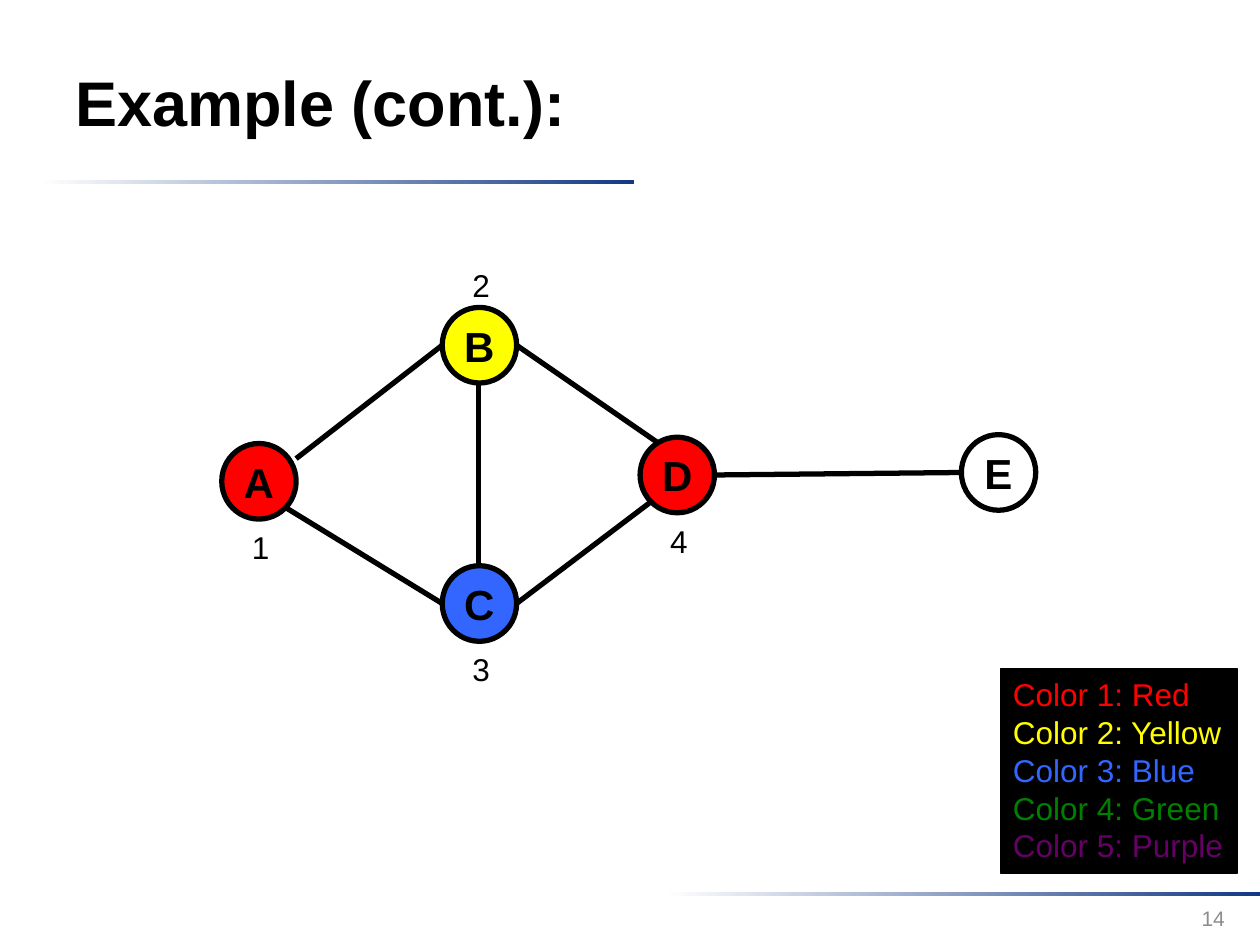
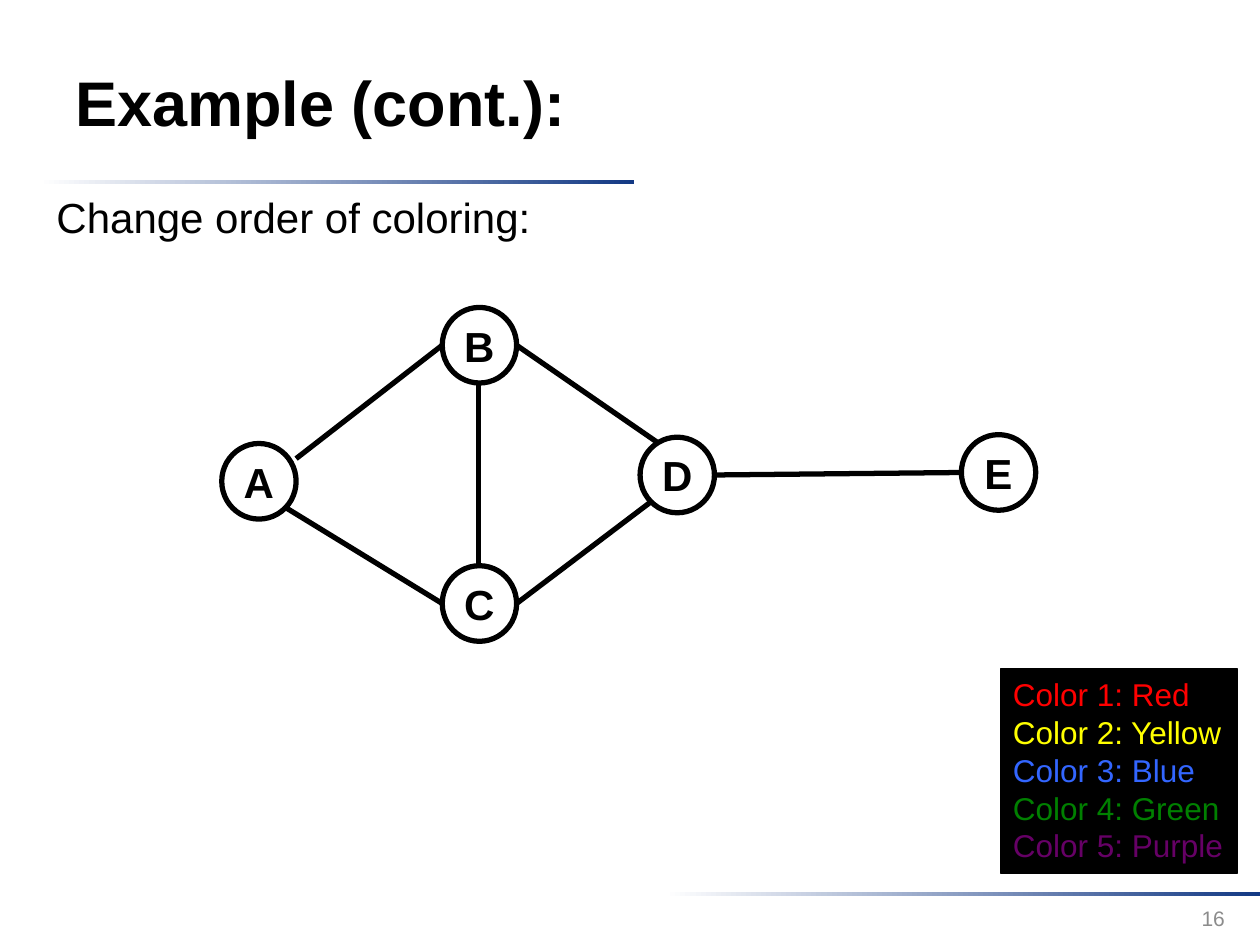
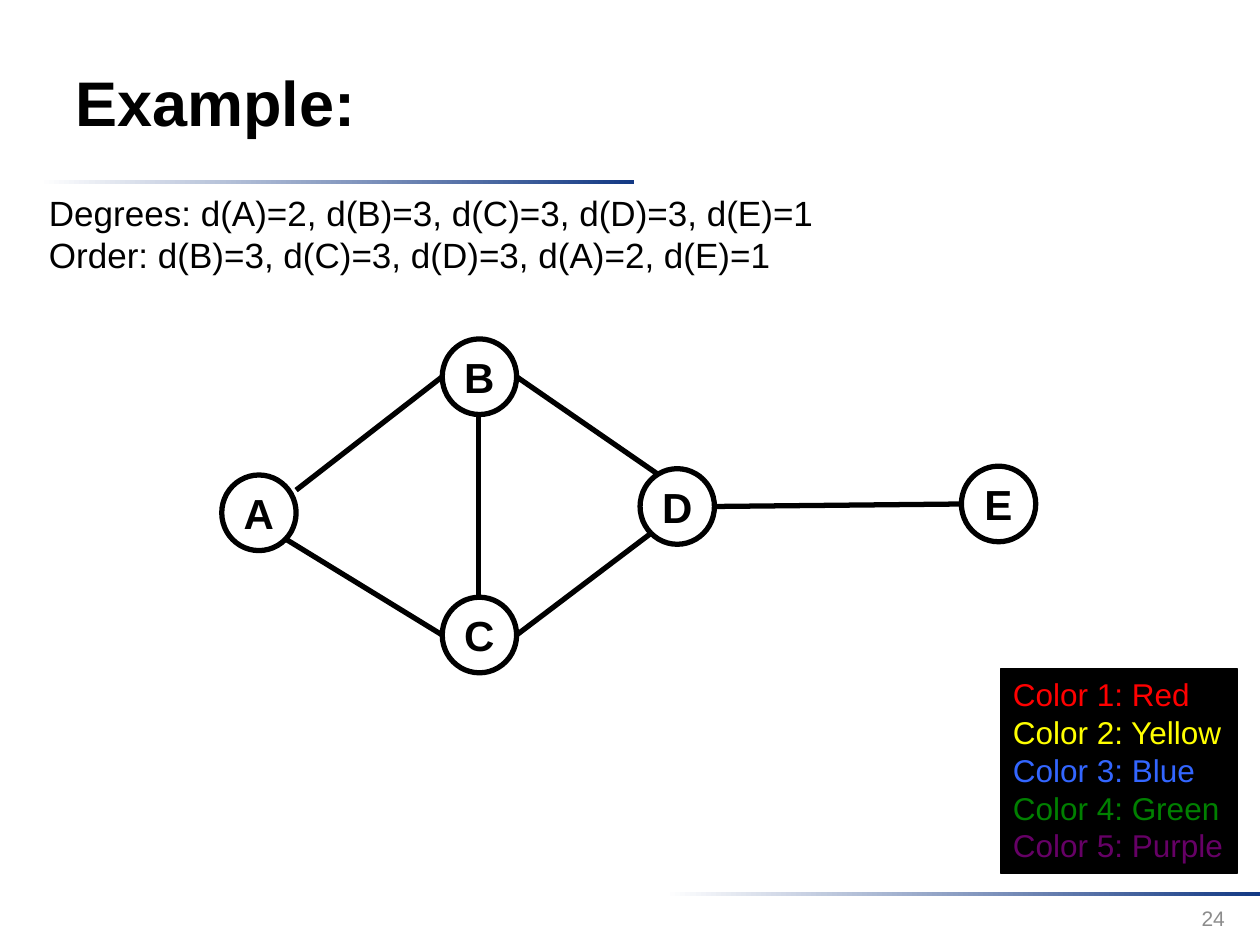
"""Build three slides on greedy graph colouring."""
from lxml.etree import SubElement
from pptx import Presentation
from pptx.dml.color import RGBColor
from pptx.enum.shapes import MSO_CONNECTOR, MSO_SHAPE
from pptx.enum.text import MSO_ANCHOR as ANCHOR, PP_ALIGN as ALIGN
from pptx.oxml.ns import qn
from pptx.util import Inches, Pt

FONT = "Arial"
COLORS = {
    "black": "000000", "white": "FFFFFF", "navy": "133984", "gray": "8C8C8C",
    "red": "FF0000", "yellow": "FFFF00", "blue": "3366FF",
    "green": "008000", "purple": "660066",
}
LEGEND = ["red", "yellow", "blue", "green", "purple"]
RULES = [(0.31, 1.43), (5.28, 7.08)]

NODE_W, NODE_H = 0.59, 0.6
NODES = {"A": (1.76, 3.52), "B": (3.51, 2.44), "C": (3.51, 4.49),
         "D": (5.08, 3.47), "E": (7.63, 3.45)}
PORTS = {"top": (0.29, 0), "left": (0, 0.3), "bottom": (0.29, 0.6),
         "right": (0.59, 0.3), "upper right": (0.59, 0.12),
         "lower right": (0.51, 0.51), "upper left": (0.15, 0.05),
         "lower left": (0.09, 0.51)}
EDGES = [
    ("A", "upper right", "B", "left"),
    ("A", "lower right", "C", "left"),
    ("B", "right", "D", "upper left"),
    ("C", "right", "D", "lower left"),
    ("D", "right", "E", "left"),
    ("B", "bottom", "C", "top"),
]
STEP_OFFSETS = {"above": -0.38, "below": 0.62}

SLIDES = [
    {"title": "Example (cont.):", "number": "14",
     "fills": {"A": "red", "B": "yellow", "C": "blue", "D": "red"},
     "steps": [("A", "below"), ("B", "above"), ("C", "below"), ("D", "below")]},
    {"title": "Example (cont.):", "number": "16",
     "note": {"lines": ["Change order of coloring:"], "size": 24,
              "box": (0.35, 1.47, 4, 0.5)}},
    {"title": "Example:", "number": "24", "drop": 0.25,
     "note": {"lines": ["Degrees: d(A)=2, d(B)=3, d(C)=3, d(D)=3, d(E)=1",
                        "Order: d(B)=3, d(C)=3, d(D)=3, d(A)=2, d(E)=1"],
              "size": 20, "box": (0.29, 1.47, 6.32, 0.77)}},
]


def rgb(color):
    return RGBColor.from_string(COLORS[color])


def write(shape, lines, size, colors=("black",), bold=False, align=ALIGN.LEFT,
          anchor=ANCHOR.TOP, wrap=False):
    frame = shape.text_frame
    frame.word_wrap = wrap
    frame.vertical_anchor = anchor
    frame.text = "\n".join(lines)
    for index, paragraph in enumerate(frame.paragraphs):
        paragraph.alignment = align
        font = paragraph.font
        font.name, font.size, font.bold = FONT, Pt(size), bold
        font.color.rgb = rgb(colors[index % len(colors)])


def add_text(slide, box, lines, size, **style):
    write(slide.shapes.add_textbox(*map(Inches, box)), lines, size, **style)


def add_outlined(slide, preset, box, fill, width):
    shape = slide.shapes.add_shape(preset, *map(Inches, box))
    shape.shadow.inherit = False
    if fill:
        shape.fill.solid()
        shape.fill.fore_color.rgb = rgb(fill)
    else:
        shape.fill.background()
    shape.line.color.rgb = rgb("black")
    shape.line.width = Pt(width)
    return shape


def add_frame(slide, title, number):
    for left, top in RULES:
        rule = slide.shapes.add_shape(
            MSO_SHAPE.RECTANGLE, *map(Inches, (left, top, 4.72, 0.03)))
        rule.shadow.inherit = False
        rule.line.fill.background()
        rule.fill.gradient()
        rule.fill.gradient_angle = 0
        for stop, color in zip(rule.fill.gradient_stops, ("white", "navy")):
            stop.color.rgb = rgb(color)
    add_text(slide, (0.5, 0.18, 7.73, 1.25), [title], 36, bold=True,
             anchor=ANCHOR.MIDDLE, wrap=True)
    add_text(slide, (7.49, 7.09, 2.33, 0.4), [number], 12, colors=("gray",),
             align=ALIGN.RIGHT, anchor=ANCHOR.MIDDLE, wrap=True)


def add_graph(slide, fills, steps, drop):
    places = {name: (left, top + drop) for name, (left, top) in NODES.items()}

    def port(name, side):
        return [Inches(a + b) for a, b in zip(places[name], PORTS[side])]

    for name, place in places.items():
        node = add_outlined(slide, MSO_SHAPE.OVAL, (*place, NODE_W, NODE_H),
                            fills.get(name), 3)
        write(node, [name], 24, bold=True, align=ALIGN.CENTER,
              anchor=ANCHOR.MIDDLE)
    for start, start_side, end, end_side in EDGES:
        edge = slide.shapes.add_connector(
            MSO_CONNECTOR.STRAIGHT, *port(start, start_side), *port(end, end_side))
        edge.line.color.rgb = rgb("black")
        edge.line.width = Pt(3)
        SubElement(edge._element.spPr, qn("a:effectLst"))
    for step, (name, side) in enumerate(steps, 1):
        left, top = places[name]
        add_text(slide, (left + 0.14, top + STEP_OFFSETS[side], 0.34, 0.4),
                 [str(step)], 18)


def add_legend(slide):
    legend = add_outlined(slide, MSO_SHAPE.RECTANGLE, (7.94, 5.31, 1.88, 1.62),
                          "black", 0.75)
    lines = [f"Color {index}: {color.title()}"
             for index, color in enumerate(LEGEND, 1)]
    write(legend, lines, 18, colors=LEGEND)


def main():
    deck = Presentation()
    deck.slide_width, deck.slide_height = Inches(10), Inches(7.5)
    for content in SLIDES:
        slide = deck.slides.add_slide(deck.slide_layouts[6])
        add_frame(slide, content["title"], content["number"])
        add_graph(slide, content.get("fills", {}), content.get("steps", []),
                  content.get("drop", 0))
        if "note" in content:
            note = content["note"]
            add_text(slide, note["box"], note["lines"], note["size"])
        add_legend(slide)
    deck.save("out.pptx")


if __name__ == "__main__":
    main()
